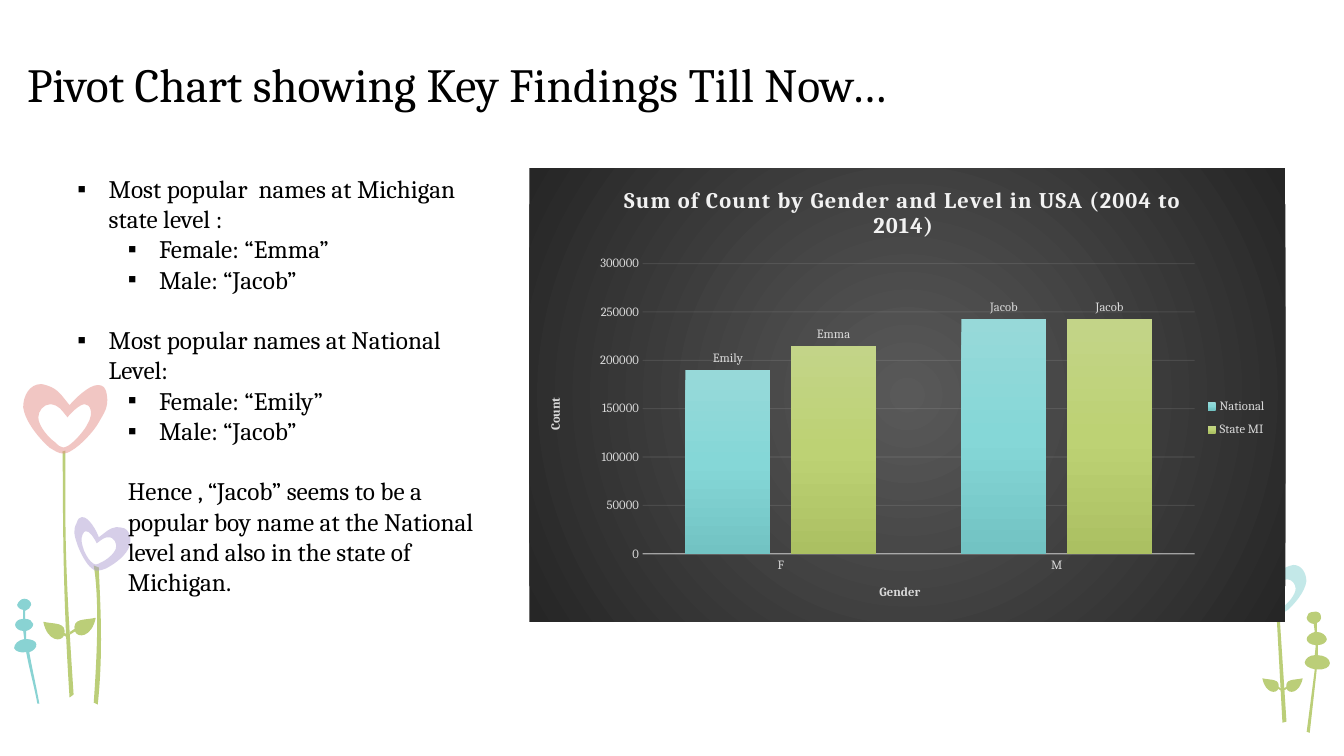
from lxml import etree
from pptx import Presentation
from pptx.chart.data import CategoryChartData
from pptx.dml.color import RGBColor
from pptx.enum.chart import XL_CHART_TYPE as Chart, XL_LABEL_POSITION as LabelPos
from pptx.enum.chart import XL_LEGEND_POSITION as LegendPos, XL_TICK_MARK as Tick
from pptx.enum.text import MSO_ANCHOR as Anchor
from pptx.oxml import parse_xml
from pptx.oxml.ns import nsdecls, qn
from pptx.util import Inches, Pt

FONT = "Cambria"
BLACK, WHITE = RGBColor(0x00, 0x00, 0x00), RGBColor(0xFF, 0xFF, 0xFF)
LIGHT, PALE = RGBColor(0xD9, 0xD9, 0xD9), RGBColor(0xF2, 0xF2, 0xF2)
GREEN, TEAL = RGBColor(0xBB, 0xCE, 0x78), RGBColor(0x89, 0xD3, 0xD3)
VIOLET, PINK = RGBColor(0xAF, 0x9F, 0xD3), RGBColor(0xE5, 0x8E, 0x89)

TITLE = "Pivot Chart showing Key Findings Till Now…"
LINE = 21.6  # height of one text line in points
# text, left margin, hanging indent, space before
FINDINGS = [
    ("Most popular  names at Michigan state level :", 0.31, 0.31, 0),
    ("Female: “Emma”", 0.81, 0.31, 0),
    ("Male: “Jacob”", 0.81, 0.31, 0),
    ("Most popular names at National Level:", 0.31, 0.31, LINE),
    ("Female: “Emily”", 0.81, 0.31, 0),
    ("Male: “Jacob”", 0.81, 0.31, 0),
    ("Hence , “Jacob” seems to be a popular boy name at the National level "
     "and also in the state of Michigan.", 0.5, 0, LINE),
]
CHART_TITLE = "Sum of Count by Gender and Level in USA (2004 to 2014)"
GENDERS = ["F", "M"]
# level, counts, names shown above the columns, gradient
LEVELS = [
    ("National", (190000, 243000), ("Emily", "Jacob"), ("97D9D9", "85D7D7", "72C3C3")),
    ("State MI", (215000, 243000), ("Emma", "Jacob"), ("C3D488", "BDD274", "ABC062")),
]
# Outlines: a start point, then lines (x, y) or cubic curves (six numbers), in inches
HEART = [
    [(0.63, 4.44), (0.6, 4.44, 0.58, 4.42, 0.55, 4.39), (0.49, 4.35, 0.38, 4.23, 0.38, 4.14),
     (0.38, 4.08, 0.43, 4.01, 0.5, 4.01), (0.59, 4.02, 0.61, 4.07, 0.67, 4.14),
     (0.7, 4.1, 0.79, 4.01, 0.84, 4.01), (0.87, 4.01, 0.89, 4.03, 0.9, 4.07),
     (0.91, 4.15, 0.88, 4.18, 0.85, 4.24), (0.81, 4.3, 0.74, 4.38, 0.68, 4.42),
     (0.66, 4.43, 0.64, 4.44, 0.63, 4.44)],
    [(0.41, 3.81), (0.29, 3.81, 0.23, 3.93, 0.23, 4.04), (0.25, 4.19, 0.4, 4.36, 0.49, 4.44),
     (0.54, 4.47, 0.58, 4.5, 0.63, 4.5), (0.65, 4.5, 0.68, 4.49, 0.71, 4.47),
     (0.8, 4.42, 0.93, 4.28, 0.98, 4.19), (1.03, 4.1, 1.08, 4.04, 1.06, 3.92),
     (1.05, 3.84, 1.02, 3.82, 0.97, 3.82), (0.88, 3.82, 0.74, 3.96, 0.69, 4.02),
     (0.6, 3.91, 0.57, 3.84, 0.41, 3.81)],
]
TILTED_HEART = [
    [(0.95, 5.6), (0.94, 5.6, 0.92, 5.59, 0.9, 5.57), (0.87, 5.54, 0.83, 5.47, 0.82, 5.42),
     (0.81, 5.38, 0.8, 5.35, 0.82, 5.3), (0.83, 5.28, 0.84, 5.27, 0.85, 5.27),
     (0.89, 5.26, 0.94, 5.35, 0.96, 5.39), (1, 5.36, 1.02, 5.34, 1.06, 5.33),
     (1.14, 5.32, 1.16, 5.4, 1.15, 5.44), (1.13, 5.5, 1.05, 5.56, 1, 5.58), (0.98, 5.59, 0.97, 5.6, 0.95, 5.6)],
    [(0.81, 5.13), (0.79, 5.13, 0.77, 5.15, 0.76, 5.19), (0.72, 5.26, 0.74, 5.32, 0.76, 5.38),
     (0.78, 5.45, 0.84, 5.57, 0.89, 5.62), (0.92, 5.65, 0.95, 5.67, 0.98, 5.66),
     (1, 5.66, 1.02, 5.65, 1.05, 5.64), (1.11, 5.61, 1.22, 5.54, 1.27, 5.45),
     (1.31, 5.38, 1.3, 5.27, 1.23, 5.24), (1.2, 5.23, 1.17, 5.23, 1.15, 5.23),
     (1.08, 5.24, 1.05, 5.28, 0.98, 5.33), (0.96, 5.27, 0.88, 5.12, 0.81, 5.13)],
]
GREEN_SPRIG = [
    (13.07, 6.5), (13.07, 6.4), (13.12, 6.4, 13.16, 6.37, 13.16, 6.34), (13.15, 6.3, 13.11, 6.27, 13.06, 6.27),
    (13.06, 6.18), (13.09, 6.17, 13.11, 6.14, 13.1, 6.11), (13.1, 6.08, 13.06, 6.06, 13.03, 6.07),
    (12.98, 6.07, 12.96, 6.1, 12.96, 6.13), (12.96, 6.16, 13, 6.19, 13.03, 6.19), (13.04, 6.27),
    (13, 6.28, 12.96, 6.31, 12.96, 6.34), (12.96, 6.37, 13, 6.4, 13.05, 6.4), (13.04, 6.5),
    (12.99, 6.5, 12.95, 6.53, 12.94, 6.57), (12.94, 6.6, 12.98, 6.63, 13.04, 6.64), (12.96, 7.26),
    (12.99, 7.27), (13.06, 6.64), (13.13, 6.65, 13.19, 6.62, 13.19, 6.58), (13.19, 6.54, 13.14, 6.5, 13.07, 6.5)]
TEAL_SPRIG = [
    (0.26, 6.34), (0.26, 6.26), (0.3, 6.25, 0.33, 6.22, 0.33, 6.19), (0.32, 6.16, 0.29, 6.14, 0.25, 6.14),
    (0.25, 6.06), (0.28, 6.05, 0.3, 6.03, 0.31, 6), (0.31, 5.97, 0.28, 5.94, 0.24, 5.94),
    (0.21, 5.94, 0.18, 5.97, 0.17, 6), (0.17, 6.02, 0.2, 6.05, 0.23, 6.05), (0.23, 6.14),
    (0.18, 6.14, 0.15, 6.17, 0.15, 6.2), (0.15, 6.23, 0.19, 6.26, 0.23, 6.26), (0.24, 6.34),
    (0.18, 6.35, 0.14, 6.39, 0.14, 6.43), (0.15, 6.46, 0.2, 6.48, 0.26, 6.47),
    (0.29, 6.64, 0.34, 6.81, 0.37, 6.98), (0.39, 6.98), (0.36, 6.81, 0.32, 6.64, 0.29, 6.47),
    (0.33, 6.46, 0.37, 6.42, 0.36, 6.39), (0.36, 6.36, 0.31, 6.34, 0.26, 6.34)]
RIGHT_STEM = [(12.66, 6.07), (12.72, 7.17), (12.76, 7.16), (12.69, 6.08)]
SHORT_STEM = [(0.97, 6.99), (1.03, 6.44, 0.99, 5.91, 0.98, 5.63), (0.93, 5.61),
              (0.99, 5.96, 0.96, 6.55, 0.93, 6.97)]
TALL_STEM = [(0.62, 4.48), (0.63, 4.92, 0.61, 5.7, 0.69, 6.92), (0.73, 6.89), (0.66, 5.83, 0.64, 5.42, 0.65, 4.47)]
CLEARING = [(0, 4.17), (0.05, 4.2), (0.1, 4.24, 0.15, 4.3, 0.18, 4.37), (0.8, 3.97, 1.4, 4.34, 1.35, 4.76),
            (2.11, 4.8, 1.85, 6.21, 0.95, 5.85), (0.79, 6.09, 0.29, 6.2, 0.03, 5.92), (0, 5.89)]
# Right half of a pair of leaves, measured from the middle of the stem
LEAF = [(0.04, 0.13), (0.02, 0.03, 0.11, 0.05, 0.2, 0.03), (0.17, 0.18, 0.06, 0.19, 0.04, 0.13)]
STALK = [(0.06, 0.1), (0, 0.14), (0, 0.16), (0.05, 0.13)]
AS_IS = (0, 0, 1, 1)
# outlines, colour, opacity, place: x, y, x scale, y scale (negative mirrors)
GARDEN = [
    ([GREEN_SPRIG], GREEN, 100, AS_IS), ([RIGHT_STEM], GREEN, 100, AS_IS),
    (HEART, TEAL, 50, (13.12, 2.9, -0.71, 0.71)), ([CLEARING], WHITE, 100, AS_IS),
    ([SHORT_STEM], GREEN, 100, AS_IS), (TILTED_HEART, VIOLET, 50, AS_IS),
    ([TALL_STEM], GREEN, 100, AS_IS), (HEART, PINK, 50, AS_IS), ([TEAL_SPRIG], TEAL, 100, AS_IS),
] + [([part], GREEN, 100, place) for part in (LEAF, STALK) for place in (
    (12.72, 6.7, 1, 1), (12.72, 6.7, -1, 1), (0.69, 6.09, 1.3, 1.3), (0.69, 6.13, -1.3, 1.3))]

prs = Presentation()
prs.slide_width, prs.slide_height = Inches(13.33), Inches(7.5)
shapes = prs.slides.add_slide(prs.slide_layouts[6]).shapes


def set_alpha(element, percent):
    for color in element.iter(qn("a:srgbClr")):
        etree.SubElement(color, qn("a:alpha")).set("val", str(percent * 1000))


def draw(outlines, color, opacity, place):
    """Lay every point as a corner, then join the points of each curve."""
    x, y, sx, sy = place
    rings = [[(Inches(x + sx * seg[i]), Inches(y + sy * seg[i + 1])) for seg in outline
              for i in range(0, len(seg), 2)] for outline in outlines]
    builder = shapes.build_freeform(*rings[0][0], scale=1.0)
    for ring in rings:
        if ring is not rings[0]:
            builder.move_to(*ring[0])
        builder.add_line_segments(ring[1:], close=False)
    sp = builder.convert_to_shape()
    corners = iter(list(sp._element.iter(qn("a:lnTo"))))
    for seg in (seg for outline in outlines for seg in outline[1:]):
        first = next(corners)
        if len(seg) == 6:
            first.tag = qn("a:cubicBezTo")
            for corner in (next(corners), next(corners)):
                first.append(corner[0])
                corner.getparent().remove(corner)
    sp.shadow.inherit = False
    sp.fill.solid()
    sp.fill.fore_color.rgb = color
    sp.line.fill.background()
    if opacity < 100:
        set_alpha(sp._element.spPr, opacity)


def gradient(colors, direction):
    stops = "".join(f'<a:gs pos="{100000 * i // (len(colors) - 1)}"><a:srgbClr val="{c}"/></a:gs>'
                    for i, c in enumerate(colors))
    return parse_xml(f'<a:gradFill {nsdecls("a")}><a:gsLst>{stops}</a:gsLst>{direction}</a:gradFill>')


def set_layout(part, before, **shares):
    """Place a chart part by shares of the chart's size; before is the tag the layout follows."""
    for old in part.findall(qn("c:layout")):
        part.remove(old)
    target = "" if before else '<c:layoutTarget val="inner"/>'
    values = "".join(f'<c:{k} val="{v}"/>' for k, v in shares.items())
    layout = parse_xml(f'<c:layout {nsdecls("c")}><c:manualLayout>{target}<c:xMode val="edge"/>'
                       f'<c:yMode val="edge"/>{values}</c:manualLayout></c:layout>')
    part.insert(part.index(part.find(qn(before))) + 1 if before else 0, layout)


def set_font(font, size, color, bold=False):
    font.name, font.size, font.bold = FONT, Pt(size), bold
    font.color.rgb = color


def add_text(left, top, width, height):
    tf = shapes.add_textbox(*map(Inches, (left, top, width, height))).text_frame
    tf.word_wrap = True
    return tf


for item in GARDEN:
    draw(*item)
tf = add_text(0.17, 0.25, 12.92, 0.92)
tf.vertical_anchor = Anchor.BOTTOM
p = tf.paragraphs[0]
p.text, p.line_spacing = TITLE, 0.9
set_font(p.font, 34, BLACK)

data = CategoryChartData()
data.categories = GENDERS
for level, counts, _, _ in LEVELS:
    data.add_series(level, counts)
chart = shapes.add_chart(Chart.COLUMN_CLUSTERED, *map(Inches, (5.25, 1.67, 7.5, 4.5)), data).chart
set_font(chart.font, 10, LIGHT)
back = parse_xml(f'<c:spPr {nsdecls("c", "a")}><a:ln><a:noFill/></a:ln></c:spPr>')
back.insert(0, gradient(("595959", "262626"), '<a:path path="circle"><a:fillToRect l="50000" t="50000" '
                        'r="50000" b="50000"/></a:path>'))
chart._chartSpace.find(qn("c:chart")).addnext(back)
set_layout(chart._chartSpace.chart.plotArea, None, x=0.15, y=0.21, w=0.73, h=0.64)
chart.has_legend = True
chart.legend.position, chart.legend.include_in_layout = LegendPos.RIGHT, False
set_font(chart.legend.font, 9, LIGHT)
set_layout(chart.legend._element, "c:legendPos", x=0.88, y=0.49, w=0.11, h=0.12)

cat, val = chart.category_axis, chart.value_axis
for title, text, size, color, x, y in (
        (chart.chart_title, CHART_TITLE, 16, PALE, 0.12, 0.03),
        (cat.axis_title, "Gender", 9, LIGHT, 0.46, 0.91), (val.axis_title, "Count", 9, LIGHT, 0.02, 0.5)):
    p = title.text_frame.paragraphs[0]
    p.text = text
    set_font(p.font, size, color, True)
    set_layout(title._element, "c:tx", x=x, y=y)
chart.chart_title.text_frame.paragraphs[0].runs[0].font._element.set("spc", "100")
val.minimum_scale, val.maximum_scale, val.major_unit = 0, 300000, 50000
val.format.line.fill.background()
for axis, line, width, tag, opacity in ((cat, cat.format.line, 1, "c:spPr", 54),
                                        (val, val.major_gridlines.format.line, 0.75, "c:majorGridlines", 10)):
    axis.major_tick_mark = axis.minor_tick_mark = Tick.NONE
    set_font(axis.tick_labels.font, 9, LIGHT)
    line.color.rgb, line.width = PALE, Pt(width)
    set_alpha(axis._element.find(qn(tag)), opacity)

plot = chart.plots[0]
plot.gap_width, plot.overlap, plot.vary_by_categories = 100, -24, False
for series, (_, _, names, colors) in zip(plot.series, LEVELS):
    series.format.fill.solid()
    solid = series._element.spPr.find(qn("a:solidFill"))
    series._element.spPr.replace(solid, gradient(colors, '<a:lin ang="5400000" scaled="0"/>'))
    for point, name in enumerate(names):
        label = series.points[point].data_label
        p = label.text_frame.paragraphs[0]
        p.text = name
        set_font(p.runs[0].font, 9, LIGHT)
        label.position = LabelPos.OUTSIDE_END

tf = add_text(0.67, 1.67, 4.25, 4.64)
for i, (text, margin, hang, before) in enumerate(FINDINGS):
    p = tf.add_paragraph() if i else tf.paragraphs[0]
    p.text, p.space_before = text, Pt(before)
    set_font(p.font, 18, BLACK)
    pPr = p._p.get_or_add_pPr()
    pPr.set("marL", str(Inches(margin)))
    pPr.set("indent", str(-Inches(hang)))
    if hang:
        for bullet in ('buFont {} typeface="Arial"', 'buChar {} char="▪"'):
            pPr.find(qn("a:defRPr")).addprevious(parse_xml(f'<a:{bullet.format(nsdecls("a"))}/>'))
prs.save("out.pptx")
